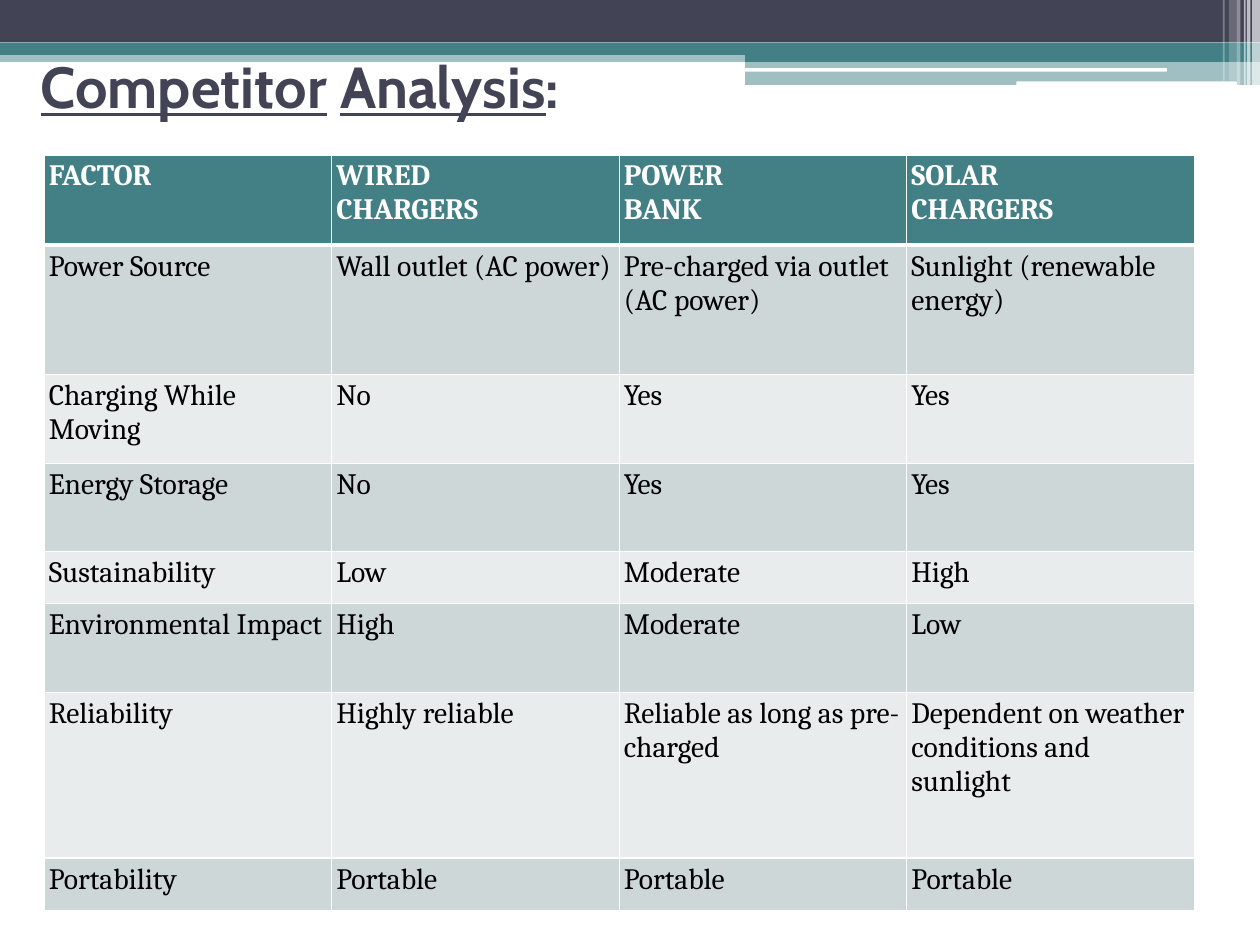
"""Build the competitor analysis slide with its banner and comparison table."""
from lxml import etree
from pptx import Presentation
from pptx.dml.color import RGBColor
from pptx.enum.shapes import MSO_SHAPE
from pptx.enum.text import MSO_ANCHOR, PP_ALIGN
from pptx.oxml.ns import qn
from pptx.util import Inches, Pt

RECT, ROUND = MSO_SHAPE.RECTANGLE, MSO_SHAPE.ROUNDED_RECTANGLE
LEFT, MIDDLE = PP_ALIGN.LEFT, MSO_ANCHOR.MIDDLE

WIDE, HIGH = Inches(14.22), Inches(10.67)
HUES = {"navy": "424456", "teal": "438086", "white": "FFFFFF",
        "black": "000000", "dark": "CDD7D8", "light": "E8ECED"}

TITLE = [("Competitor", True), (" ", False), ("Analysis", True), (":", False)]
ROWS = [
    (9.56, ["FACTOR", "WIRED\nCHARGERS", "POWER\nBANK", "SOLAR\nCHARGERS"]),
    (13.68, ["Power Source", "Wall outlet (AC power)",
             "Pre-charged via outlet (AC power)", "Sunlight (renewable energy)"]),
    (9.37, ["Charging While Moving", "No", "Yes", "Yes"]),
    (9.37, ["Energy Storage", "No", "Yes", "Yes"]),
    (5.53, ["Sustainability", "Low", "Moderate", "High"]),
    (9.37, ["Environmental Impact", "High", "Moderate", "Low"]),
    (17.53, ["Reliability", "Highly reliable", "Reliable as long as pre-charged",
             "Dependent on weather conditions and sunlight"]),
    (5.53, ["Portability", "Portable", "Portable", "Portable"]),
]

# Boxes are left, top, width, height in percent of the slide.
TITLE_BOX = (2.74, 4.87, 91.56, 8.43)
TABLE_BOX = (3.52, 16.4, 91.28, sum(high for high, _ in ROWS))
BARS = [
    (RECT, (0, 5.34, 100, 1.22), "teal", 50),
    (RECT, (0, 0, 100, 4.5), "navy", 100),
    (RECT, (0, 4.5, 100, 1.31), "teal", 100),
    (RECT, (59.14, 5.25, 40.86, 1.31), "teal", 100),
    (RECT, (59.14, 6.37, 40.86, 2.62), "teal", 50),
    (ROUND, (59.14, 7.22, 33.47, 0.37), "white", 100),
    (ROUND, (80.66, 8.62, 17.51, 0.56), "white", 100),
]
STRIPES = [(99.37, 0.63, 9.09, 65), (98.95, 0.28, 9.09, 65), (98.73, 0.14, 9.09, 60),
           (98.17, 0.28, 9.09, 40), (97.54, 0.63, 8.53, 20), (97.05, 0.14, 8.53, 30)]
BARS += [(RECT, (x, 0, wide, high), "white", clear) for x, wide, high, clear in STRIPES]

HEAD = {"name": "Cambria", "size": Pt(24), "bold": True}
BODY = {**HEAD, "bold": False}
NAME = {"name": "Cabin", "size": Pt(47), "bold": True}


def place(box):
    return [round(part * side / 100) for part, side in zip(box, (WIDE, HIGH) * 2)]


def paint(fill, hue):
    fill.solid()
    fill.fore_color.rgb = RGBColor.from_string(HUES[hue])


def style(font, form, hue):
    for key, value in form.items():
        setattr(font, key, value)
    font.color.rgb = RGBColor.from_string(HUES[hue])


def add_bar(slide, kind, box, hue, clear):
    bar = slide.shapes.add_shape(kind, *place(box))
    bar.shadow.inherit = False
    bar.line.fill.background()
    paint(bar.fill, hue)
    if clear < 100:
        color = bar._element.spPr.find(f"{qn('a:solidFill')}/{qn('a:srgbClr')}")
        etree.SubElement(color, qn("a:alpha"), val=str(clear * 1000))


def add_title(slide):
    title = slide.shapes.title
    title.left, title.top, title.width, title.height = place(TITLE_BOX)
    slide.shapes._spTree.append(title._element)
    frame = title.text_frame
    frame.vertical_anchor = MIDDLE
    for side in ("left", "top", "right", "bottom"):
        setattr(frame, f"margin_{side}", Inches(0.07))
    para = frame.paragraphs[0]
    para.alignment = LEFT
    for text, under in TITLE:
        run = para.add_run()
        run.text = text
        style(run.font, {**NAME, "underline": under}, "navy")


def edge(cell, row):
    thick = {"T": 4 if row == 1 else 1, "B": 4 if row == 0 else 1}
    props = cell._tc.get_or_add_tcPr()
    for side in "LRTB":
        line = etree.SubElement(props, qn(f"a:ln{side}"), w=str(Pt(thick.get(side, 1))))
        fill = etree.SubElement(line, qn("a:solidFill"))
        etree.SubElement(fill, qn("a:srgbClr"), val=HUES["white"])


def add_grid(slide):
    cols = len(ROWS[0][1])
    box = place(TABLE_BOX)
    table = slide.shapes.add_table(len(ROWS), cols, *box).table
    for col in table.columns:
        col.width = box[2] // cols
    for r, (high, texts) in enumerate(ROWS):
        table.rows[r].height = round(high * HIGH / 100)
        back = "teal" if r == 0 else ("light", "dark")[r % 2]
        for c, text in enumerate(texts):
            cell = table.cell(r, c)
            edge(cell, r)
            paint(cell.fill, back)
            for side in ("left", "top", "right", "bottom"):
                setattr(cell, f"margin_{side}", Inches(0.05))
            cell.text_frame.text = text
            for para in cell.text_frame.paragraphs:
                para.alignment = LEFT
                style(para.runs[0].font, BODY if r else HEAD, "black" if r else "white")


def main():
    deck = Presentation()
    deck.slide_width, deck.slide_height = WIDE, HIGH
    slide = deck.slides.add_slide(deck.slide_layouts[5])
    for bar in BARS:
        add_bar(slide, *bar)
    add_title(slide)
    add_grid(slide)
    deck.save("out.pptx")


if __name__ == "__main__":
    main()
